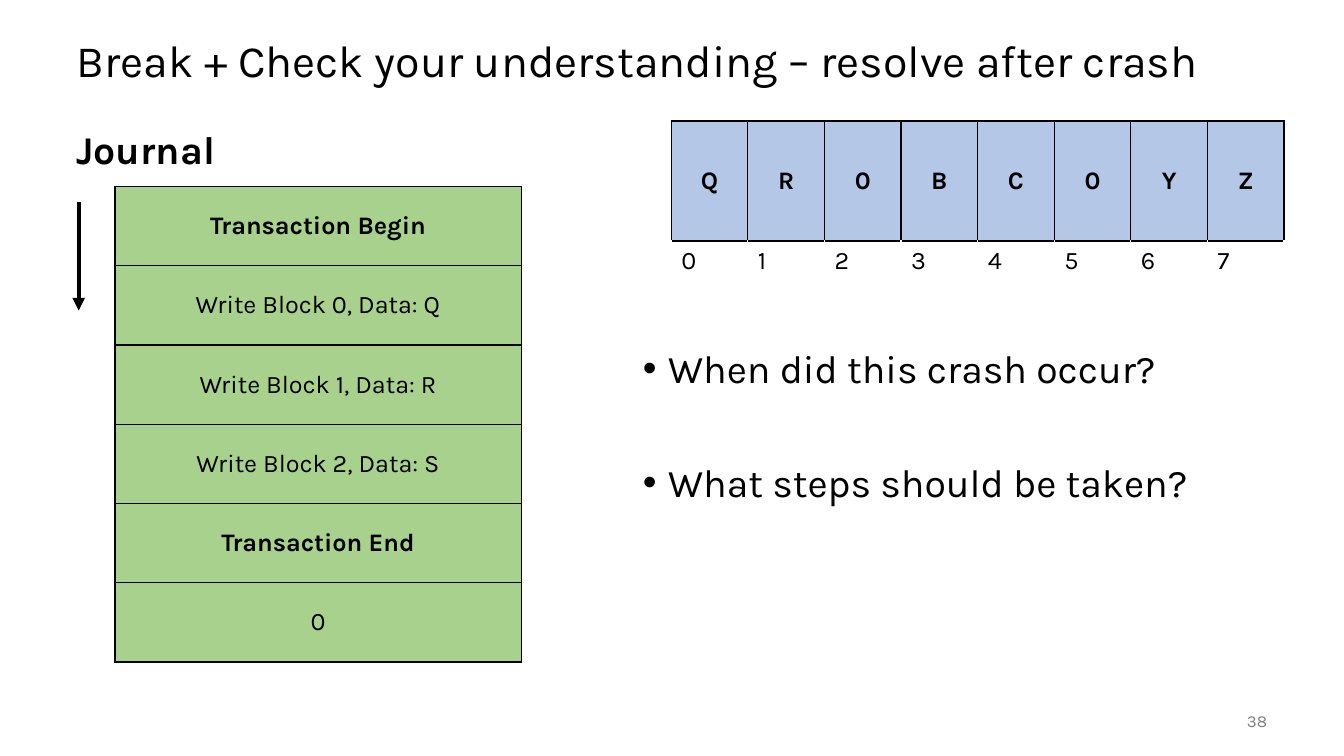
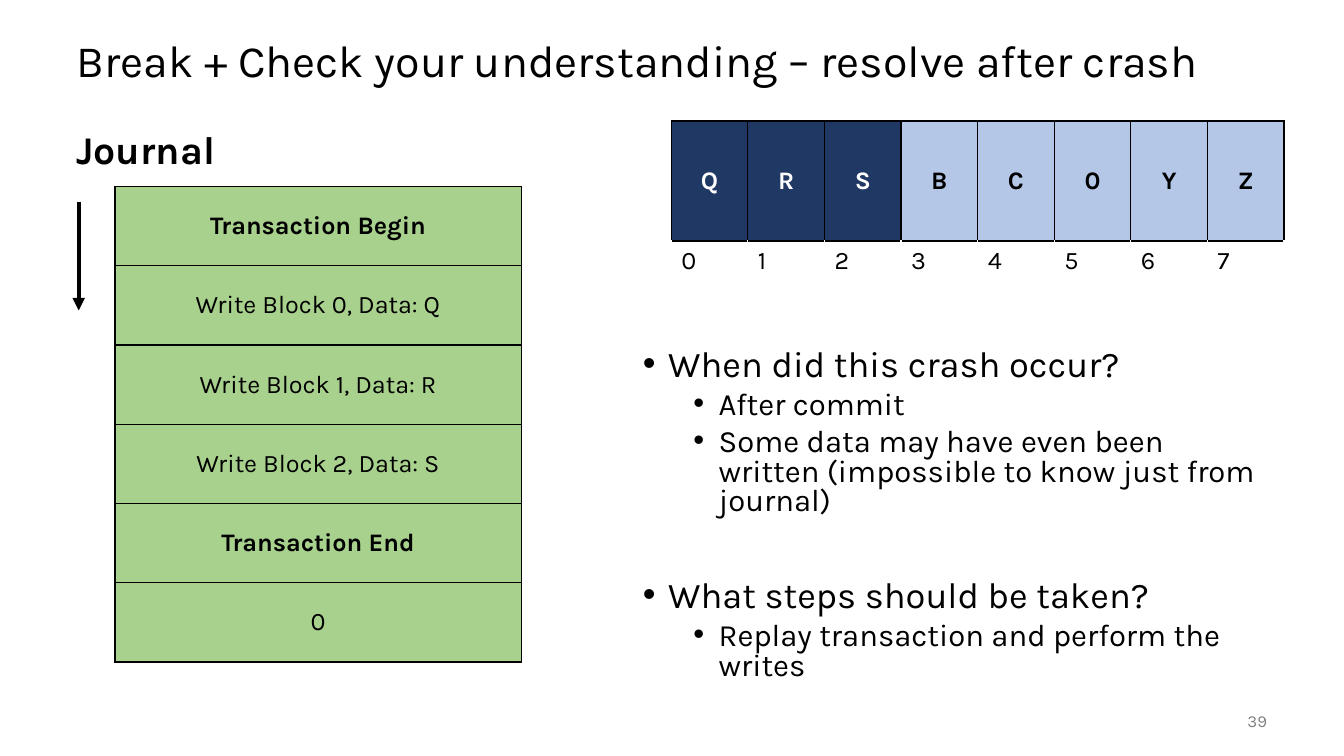
from lxml.etree import SubElement
from pptx import Presentation
from pptx.dml.color import RGBColor
from pptx.enum.shapes import MSO_CONNECTOR
from pptx.enum.text import MSO_ANCHOR, MSO_AUTO_SIZE, PP_ALIGN
from pptx.oxml.ns import qn
from pptx.util import Pt

COLORS = {
    "text": "000000", "inverse": "FFFFFF", "page_number": "808080",
    "block": "B4C7E7", "written": "203864", "journal": "A9D18E",
    "border": "000000", "no_border": "FFFFFF",
}
FONT = "Karla"
TITLE = "Break + Check your understanding – resolve after crash"
JOURNAL = ["Transaction Begin", "Write Block 0, Data: Q", "Write Block 1, Data: R",
           "Write Block 2, Data: S", "Transaction End", "0"]

TITLE_BOX = (47.5, 18, 864, 54)
JOURNAL_BOX = (47.5, 90, 414, 396)
DISK_BOX = (479.5, 86.4, 437.8, 124.4)
QUESTIONS_BOX = (452.2, 246.2, 460, 240)
NUMBER_BOX = (840.2, 500.4, 72, 28.8)

# Sizes of questions and answers, and the space before each later question
ROOMY = {"question": 28, "answer": 24, "line": 0.9, "gap": 51}
COMPACT = {"question": 25.9, "answer": 22.2, "line": 0.8, "gap": 45}

SLIDES = [
    {"number": 38, "blocks": "QR0BC0YZ", "written": 0, "density": ROOMY,
     "questions": [("When did this crash occur?", []),
                   ("What steps should be taken?", [])]},
    {"number": 39, "blocks": "QRSBC0YZ", "written": 3, "density": COMPACT,
     "questions": [
         ("When did this crash occur?",
          ["After commit",
           "Some data may have even been written (impossible to know just from journal)"]),
         ("What steps should be taken?",
          ["Replay transaction and perform the writes"])]},
]


def points(box):
    return [Pt(length) for length in box]


def rgb(color):
    return RGBColor.from_string(COLORS[color])


def write(paragraph, text, size, color="text", bold=False, **layout):
    """Put one run in the paragraph; layout holds paragraph attributes."""
    for name, value in layout.items():
        setattr(paragraph, name, value)
    run = paragraph.add_run()
    run.text = text
    for name, value in {"name": FONT, "size": Pt(size), "bold": bold}.items():
        setattr(run.font, name, value)
    run.font.color.rgb = rgb(color)


def add_text_frame(slide, box, anchor=MSO_ANCHOR.TOP):
    frame = slide.shapes.add_textbox(*points(box)).text_frame
    frame.word_wrap = True
    frame.vertical_anchor = anchor
    return frame


def add_bullet(paragraph, left):
    properties = paragraph._p.get_or_add_pPr()
    properties.set("marL", str(Pt(left)))
    properties.set("indent", str(Pt(-18)))
    SubElement(properties, qn("a:buFont"), typeface="Arial")
    SubElement(properties, qn("a:buChar"), char="•")


def add_plain_table(slide, box, row_heights, column_count):
    """Add a table without banding or header style, with equal columns."""
    table = slide.shapes.add_table(len(row_heights), column_count, *points(box)).table
    table.first_row = table.horz_banding = False
    for row, height in zip(table.rows, row_heights):
        row.height = Pt(height)
    for column in table.columns:
        column.width = Pt(box[2] / column_count)
    return table


def format_cell(cell, fill=None, sides="border", top="border"):
    properties = cell._tc.get_or_add_tcPr()
    for edge, color in {"L": sides, "R": sides, "T": top, "B": sides}.items():
        line = SubElement(properties, qn(f"a:ln{edge}"), w=str(Pt(1)))
        solid = SubElement(line, qn("a:solidFill"))
        SubElement(solid, qn("a:srgbClr"), val=COLORS[color])
    if fill:
        cell.fill.solid()
        cell.fill.fore_color.rgb = rgb(fill)
        cell.vertical_anchor = MSO_ANCHOR.MIDDLE
    else:
        cell.fill.background()


def add_title(slide, box):
    title = slide.shapes.title
    title.left, title.top, title.width, title.height = points(box)
    frame = title.text_frame
    settings = {"auto_size": MSO_AUTO_SIZE.NONE, "word_wrap": True,
                "vertical_anchor": MSO_ANCHOR.MIDDLE}
    for name, value in settings.items():
        setattr(frame, name, value)
    write(frame.paragraphs[0], TITLE, 32, alignment=PP_ALIGN.LEFT, line_spacing=0.9)


def add_journal(slide, box):
    """Place the heading, the log entries and the arrow of reading order."""
    left, top, _, height = box
    heading = add_text_frame(slide, box).paragraphs[0]
    write(heading, "Journal", 28, bold=True, line_spacing=0.9)

    log_height = height - 56.2
    log_box = (left + 34.6, top + 43.2, 290.2, log_height)
    log = add_plain_table(slide, log_box, [log_height / len(JOURNAL)] * len(JOURNAL), 1)
    for row, entry in enumerate(JOURNAL):
        cell = log.cell(row, 0)
        format_cell(cell, "journal")
        write(cell.text_frame.paragraphs[0], entry, 18,
              bold=entry.startswith("Transaction"), alignment=PP_ALIGN.CENTER)

    arrow_x = left + 8.7
    arrow = slide.shapes.add_connector(
        MSO_CONNECTOR.STRAIGHT, *points((arrow_x, top + 54, arrow_x, top + 131.8)))
    arrow.line.width = Pt(3)
    arrow.line.color.rgb = rgb("border")
    SubElement(arrow.line._get_or_add_ln(), qn("a:tailEnd"), type="triangle")
    SubElement(arrow._element.spPr, qn("a:effectLst"))


def add_disk(slide, box, blocks, written):
    """Place the disk blocks over their indices; the first ones are marked written."""
    block_height = 85.7
    disk = add_plain_table(slide, box, [block_height, box[3] - block_height], len(blocks))
    for index, data in enumerate(blocks):
        fill, color = ("written", "inverse") if index < written else ("block", "text")
        block, label = disk.cell(0, index), disk.cell(1, index)
        format_cell(block, fill)
        write(block.text_frame.paragraphs[0], data, 18, color, bold=True,
              alignment=PP_ALIGN.CENTER)
        format_cell(label, sides="no_border")
        write(label.text_frame.paragraphs[0], str(index), 18)


def add_questions(slide, box, questions, density):
    frame = add_text_frame(slide, box)
    for index, (question, answers) in enumerate(questions):
        paragraph = frame.add_paragraph() if index else frame.paragraphs[0]
        add_bullet(paragraph, 18)
        write(paragraph, question, density["question"], line_spacing=density["line"],
              space_before=Pt(density["gap"] if index else 0))
        for answer in answers:
            paragraph = frame.add_paragraph()
            add_bullet(paragraph, 54)
            write(paragraph, answer, density["answer"], level=1,
                  line_spacing=density["line"], space_before=Pt(5))


def add_page_number(slide, box, number):
    frame = add_text_frame(slide, box, MSO_ANCHOR.MIDDLE)
    write(frame.paragraphs[0], str(number), 12, "page_number", alignment=PP_ALIGN.RIGHT)


def add_crash_slide(deck, content):
    slide = deck.slides.add_slide(deck.slide_layouts.get_by_name("Title Only"))
    add_title(slide, TITLE_BOX)
    add_journal(slide, JOURNAL_BOX)
    add_disk(slide, DISK_BOX, content["blocks"], content["written"])
    add_questions(slide, QUESTIONS_BOX, content["questions"], content["density"])
    add_page_number(slide, NUMBER_BOX, content["number"])


def main():
    deck = Presentation()
    deck.slide_width, deck.slide_height = Pt(960), Pt(540)
    for content in SLIDES:
        add_crash_slide(deck, content)
    deck.save("out.pptx")


if __name__ == "__main__":
    main()
